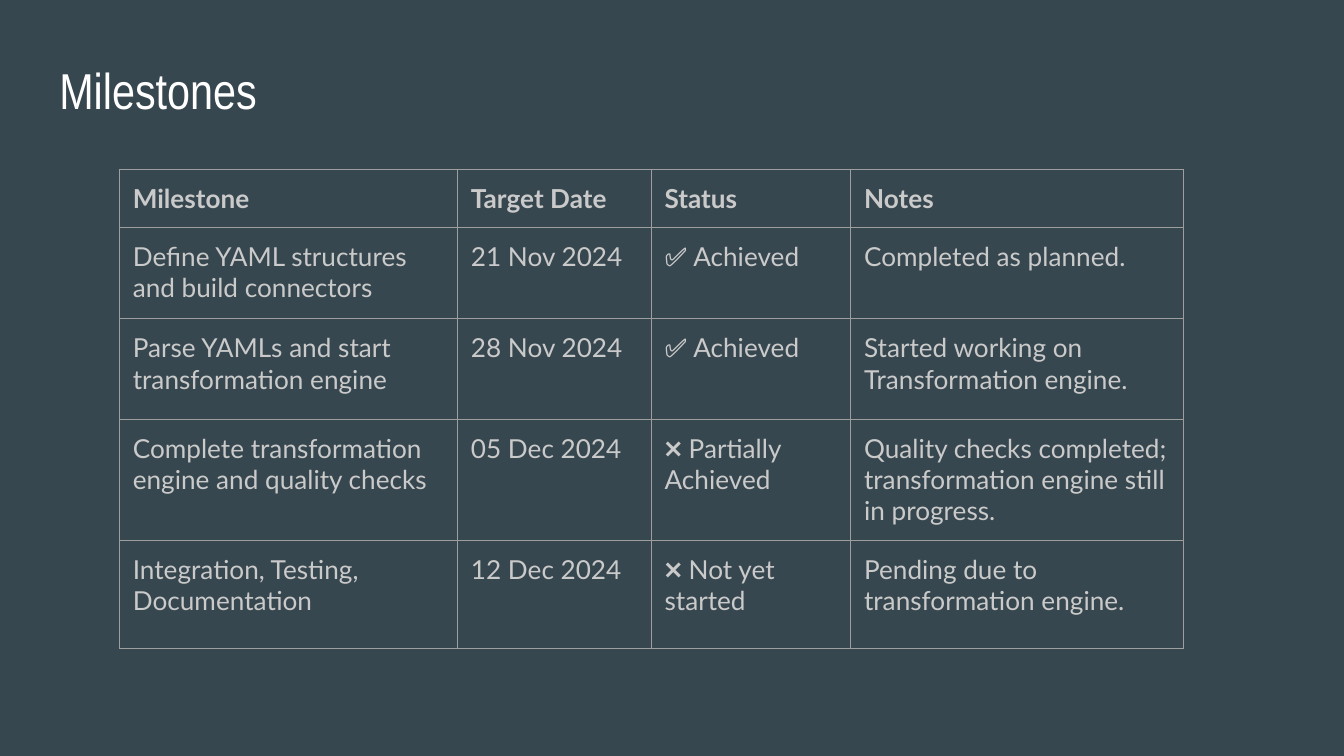
from dataclasses import dataclass

from lxml.etree import SubElement
from pptx import Presentation
from pptx.dml.color import RGBColor
from pptx.enum.text import MSO_ANCHOR, PP_ALIGN
from pptx.oxml.ns import qn
from pptx.util import Cm, Pt


@dataclass(frozen=True)
class Theme:
    background: str = "37474F"
    title_color: str = "FFFFFF"
    text_color: str = "CACACA"
    border_color: str = "9E9E9E"
    title_font: str = "Arial Narrow"
    body_font: str = "Lato"
    title_size: float = 27
    body_size: float = 14
    border_width: float = 0.75
    inset: float = 0.25


class SlideBuilder:
    def __init__(self, prs, theme):
        self.theme = theme
        self.s = prs.slides.add_slide(prs.slide_layouts[5])
        fill = self.s.background.fill
        fill.solid()
        fill.fore_color.rgb = RGBColor.from_string(theme.background)

    def format_runs(self, tf, font, size, color, bold=False):
        for p in tf.paragraphs:
            p.alignment = PP_ALIGN.LEFT
            for r in p.runs:
                r.font.name = font
                r.font.size = Pt(size)
                r.font.bold = bold
                r.font.color.rgb = RGBColor.from_string(color)

    def set_insets(self, target):
        target.margin_left = target.margin_right = Cm(self.theme.inset)
        target.margin_top = target.margin_bottom = Cm(self.theme.inset)

    def title(self, text, left, top, width, height):
        sp = self.s.shapes.title
        sp.left, sp.top, sp.width, sp.height = map(Cm, (left, top, width, height))
        tf = sp.text_frame
        tf.text = text
        tf.word_wrap = True
        tf.vertical_anchor = MSO_ANCHOR.TOP
        self.set_insets(tf)
        self.format_runs(tf, self.theme.title_font, self.theme.title_size, self.theme.title_color)

    def border(self, cell):
        tcPr = cell._tc.get_or_add_tcPr()
        for index, side in enumerate(("a:lnL", "a:lnR", "a:lnT", "a:lnB")):
            ln = SubElement(tcPr, qn(side), w=str(Pt(self.theme.border_width)))
            tcPr.insert(index, ln)
            fill = SubElement(ln, qn("a:solidFill"))
            SubElement(fill, qn("a:srgbClr"), val=self.theme.border_color)

    def table(self, rows, left, top, widths, heights):
        frame = self.s.shapes.add_table(
            len(rows), len(widths), Cm(left), Cm(top), Cm(sum(widths)), Cm(sum(heights))
        )
        table = frame.table
        table.horz_banding = False
        for column, width in zip(table.columns, widths):
            column.width = Cm(width)
        for row, height in zip(table.rows, heights):
            row.height = Cm(height)
        for i, values in enumerate(rows):
            for j, text in enumerate(values):
                cell = table.cell(i, j)
                cell.text_frame.text = text
                cell.vertical_anchor = MSO_ANCHOR.TOP
                cell.fill.background()
                self.set_insets(cell)
                self.format_runs(
                    cell.text_frame, self.theme.body_font, self.theme.body_size,
                    self.theme.text_color, bold=i == 0,
                )
                self.border(cell)


MILESTONES = [
    ("Milestone", "Target Date", "Status", "Notes"),
    ("Define YAML structures and build connectors", "21 Nov 2024", "✅ Achieved",
     "Completed as planned."),
    ("Parse YAMLs and start transformation engine", "28 Nov 2024", "✅ Achieved",
     "Started working on Transformation engine."),
    ("Complete transformation engine and quality checks", "05 Dec 2024", "❌ Partially Achieved",
     "Quality checks completed; transformation engine still in progress."),
    ("Integration, Testing, Documentation", "12 Dec 2024", "❌ Not yet started",
     "Pending due to transformation engine."),
]


def main():
    prs = Presentation()
    prs.slide_width, prs.slide_height = Cm(25.4), Cm(14.29)
    builder = SlideBuilder(prs, Theme())
    builder.title("Milestones", 0.87, 0.87, 23.67, 1.6)
    builder.table(
        MILESTONES, 2.26, 3.2,
        widths=(6.39, 3.66, 3.77, 6.29),
        heights=(0.94, 1.73, 1.9, 2.29, 2.05),
    )
    prs.save("out.pptx")


if __name__ == "__main__":
    main()
